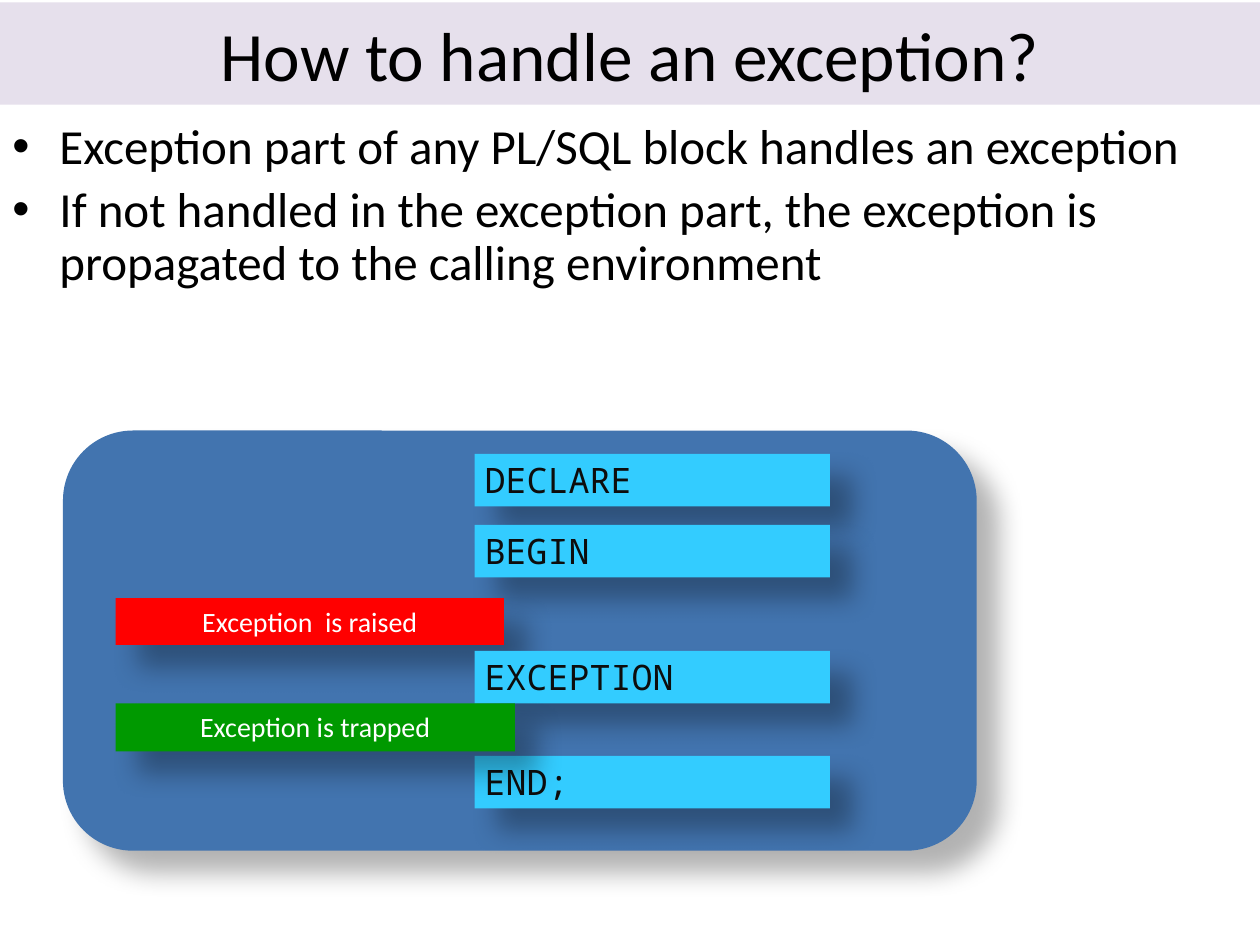
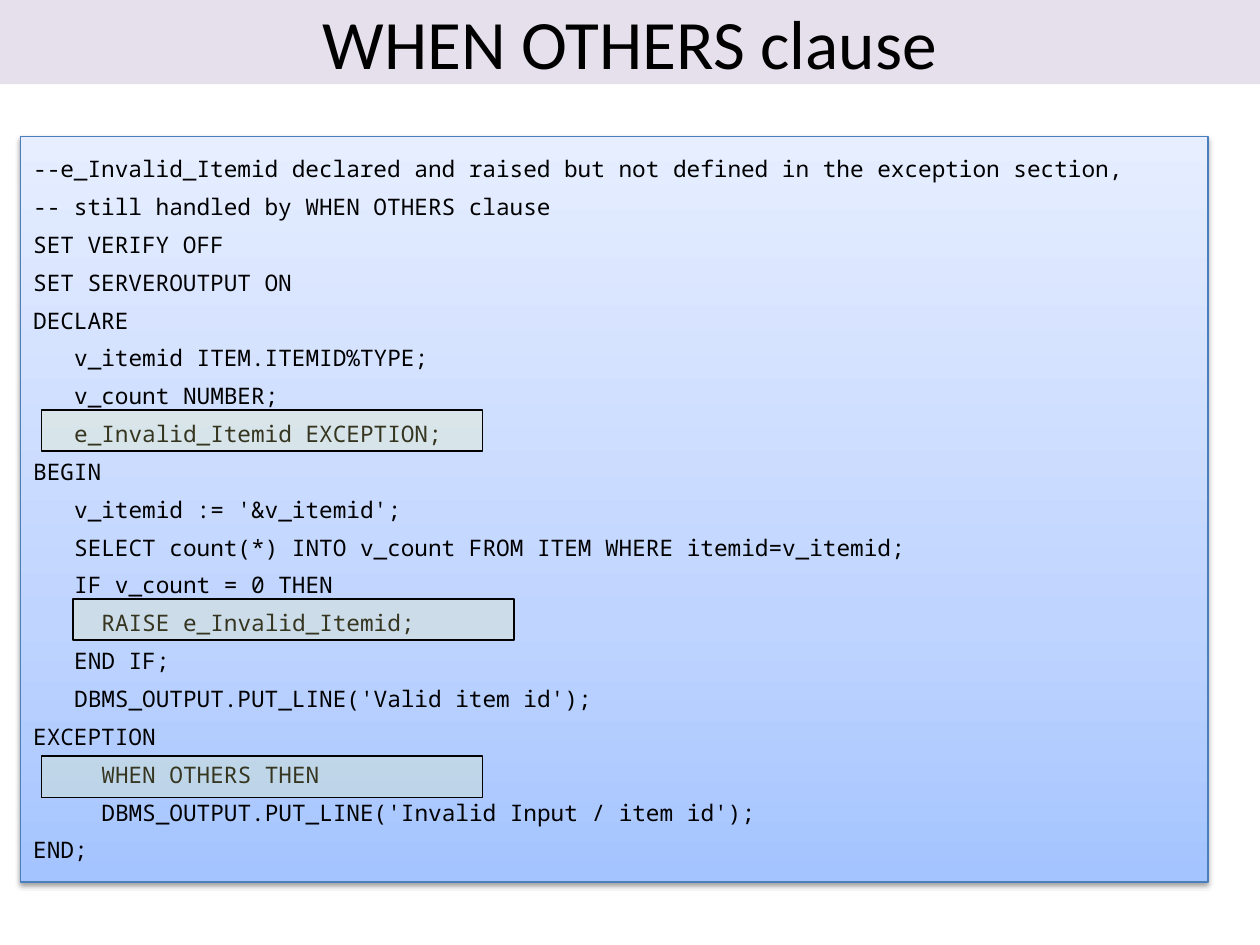
from lxml.etree import SubElement
from pptx import Presentation
from pptx.dml.color import RGBColor as Rgb
from pptx.enum.shapes import MSO_SHAPE as Kind
from pptx.enum.text import MSO_ANCHOR as Anchor, PP_ALIGN as Align
from pptx.oxml.ns import qn
from pptx.util import Cm, Pt

COLORS = {
    "band": "E6E0EC", "panel": "4274AF", "keyword": "33CCFF",
    "raised": "FF0000", "trapped": "009900", "highlight": "FFFF99",
    "code_line": "4B7EBC", "black": "000000", "white": "FFFFFF", "ink": "0D0D0D",
}
CODE_GRADIENT = [(0, "A4C4FF"), (35, "BFD4FF"), (100, "E6EEFF")]
DEEP_SHADOW = {"alpha": 30, "blur": 15, "dist": 18, "angle": 45}
SOFT_SHADOW = {"alpha": 38, "blur": 3.1, "dist": 1.6, "angle": 90}
FONTS = {
    "title": {"name": "Calibri", "size": Pt(39.6)},
    "body": {"name": "Calibri", "size": Pt(28)},
    "label": {"name": "Calibri", "size": Pt(16)},
    "keyword": {"name": "Noto Sans Mono", "size": Pt(20)},
    "code": {"name": "Noto Sans Mono", "size": Pt(13)},
}
WIDE_INSETS = (0.25, 0.13)
SLIM_INSETS = (0.2, 0.1)
CODE_CHAR = Pt(7.8)


def add_box(page, frame, fill, kind=Kind.RECTANGLE, line=None, weight=1, shadow=None):
    box = page.shapes.add_shape(kind, *[Cm(value) for value in frame])
    box.shadow.inherit = False
    box.fill.solid()
    box.fill.fore_color.rgb = Rgb.from_string(COLORS[fill])
    if line:
        box.line.color.rgb = Rgb.from_string(COLORS[line])
        box.line.width = Pt(weight)
    else:
        box.line.fill.background()
    if shadow:
        effects = box._element.spPr.find(qn("a:effectLst"))
        outer = SubElement(effects, qn("a:outerShdw"), {
            "blurRad": str(Pt(shadow["blur"])), "dist": str(Pt(shadow["dist"])),
            "dir": str(shadow["angle"] * 60000), "algn": "tl", "rotWithShape": "0",
        })
        color = SubElement(outer, qn("a:srgbClr"), val=COLORS["black"])
        SubElement(color, qn("a:alpha"), val=str(shadow["alpha"] * 1000))
    return box


def write(box, lines, font, color="black", anchor=Anchor.TOP, insets=WIDE_INSETS, **layout):
    frame = box.text_frame
    across, down = [Cm(value) for value in insets]
    settings = {
        "word_wrap": True, "vertical_anchor": anchor,
        "margin_left": across, "margin_right": across,
        "margin_top": down, "margin_bottom": down,
    }
    for name, value in settings.items():
        setattr(frame, name, value)
    for index, text in enumerate(lines):
        para = frame.paragraphs[0] if index == 0 else frame.add_paragraph()
        for name, value in {"alignment": Align.LEFT, **layout}.items():
            setattr(para, name, value)
        span = para.add_run()
        span.text = text
        for name, value in FONTS[font].items():
            setattr(span.font, name, value)
        span.font.color.rgb = Rgb.from_string(COLORS[color])
    return frame.paragraphs


deck = Presentation()
deck.slide_width, deck.slide_height = Cm(25.4), Cm(19.05)
blank = deck.slide_layouts[6]

handling = deck.slides.add_slide(blank)
others = deck.slides.add_slide(blank)

add_box(handling, (1.27, 8.68, 18.42, 8.47), "panel", Kind.ROUNDED_RECTANGLE, shadow=DEEP_SHADOW)

titles = [
    (handling, "How to handle an exception?", 0.05, 2.06),
    (others, "WHEN OTHERS clause", 0, 1.7),
]
for page, title, top, height in titles:
    band = add_box(page, (0, top, 25.4, height), "band")
    write(band, [title], "title", anchor=Anchor.MIDDLE, alignment=Align.CENTER)

points = [
    "Exception part of any PL/SQL block handles an exception",
    "If not handled in the exception part, the exception is propagated to the calling environment",
]
body = handling.shapes.add_textbox(Cm(0), Cm(2.33), Cm(24.13), Cm(14.73))
for para in write(body, points, "body", line_spacing=0.9, space_before=Pt(5.6)):
    props = para._p.get_or_add_pPr()
    props.set("marL", str(Cm(0.95)))
    props.set("indent", str(-Cm(0.95)))
    SubElement(props, qn("a:buFont"), typeface="Arial")
    SubElement(props, qn("a:buChar"), char="•")

keyword = ("keyword", "keyword", "ink", SLIM_INSETS, Align.LEFT)
label = ("label", "white", WIDE_INSETS, Align.CENTER)
blocks = [
    ("DECLARE", (9.57, 9.15, 7.16, 1.06), *keyword),
    ("BEGIN", (9.57, 10.58, 7.16, 1.06), *keyword),
    ("END;", (9.57, 15.24, 7.16, 1.06), *keyword),
    ("Exception  is raised", (2.33, 12.06, 7.83, 0.94), "raised", *label),
    ("EXCEPTION", (9.57, 13.12, 7.16, 1.06), *keyword),
    ("Exception is trapped", (2.33, 14.18, 8.05, 0.97), "trapped", *label),
]
for text, frame, fill, font, color, insets, alignment in blocks:
    box = add_box(handling, frame, fill, shadow=DEEP_SHADOW)
    write(box, [text], font, color, insets=insets, alignment=alignment)

code = [
    (0, "--e_Invalid_Itemid declared and raised but not defined in the exception section,"),
    (0, "-- still handled by WHEN OTHERS clause"),
    (0, "SET VERIFY OFF"),
    (0, "SET SERVEROUTPUT ON"),
    (0, "DECLARE"),
    (3, "v_itemid ITEM.ITEMID%TYPE;"),
    (3, "v_count NUMBER;"),
    (3, "e_Invalid_Itemid EXCEPTION;"),
    (0, "BEGIN"),
    (3, "v_itemid := '&v_itemid';"),
    (3, "SELECT count(*) INTO v_count FROM ITEM WHERE itemid=v_itemid;"),
    (3, "IF v_count = 0 THEN"),
    (5, "RAISE e_Invalid_Itemid;"),
    (3, "END IF;"),
    (3, "DBMS_OUTPUT.PUT_LINE('Valid item id');"),
    (0, "EXCEPTION"),
    (5, "WHEN OTHERS THEN"),
    (5, "DBMS_OUTPUT.PUT_LINE('Invalid Input / item id');"),
    (0, "END;"),
]
listing = add_box(others, (0.42, 2.75, 23.93, 15.03), "white", Kind.ROUNDED_RECTANGLE,
                  line="code_line", weight=0.75, shadow=SOFT_SHADOW)
listing.adjustments[0] = 0
listing.fill.gradient()
listing.fill.gradient_angle = 90
stops = listing._element.spPr.find(qn("a:gradFill")).find(qn("a:gsLst"))
for stop in list(stops):
    stops.remove(stop)
for position, color in CODE_GRADIENT:
    stop = SubElement(stops, qn("a:gs"), pos=str(position * 1000))
    SubElement(stop, qn("a:srgbClr"), val=color)

paras = write(listing, [text for _, text in code], "code",
              anchor=Anchor.MIDDLE, space_before=Pt(6))
for para, (depth, _) in zip(paras, code):
    para._p.get_or_add_pPr().set("marL", str(depth * CODE_CHAR))

for left, top in [(0.84, 15.24), (1.48, 12.07), (0.84, 8.26)]:
    marker = add_box(others, (left, top, 8.89, 0.84), "highlight", line="black")
    tint = marker._element.spPr.find(qn("a:solidFill")).find(qn("a:srgbClr"))
    SubElement(tint, qn("a:alpha"), val="21000")

deck.save("out.pptx")
